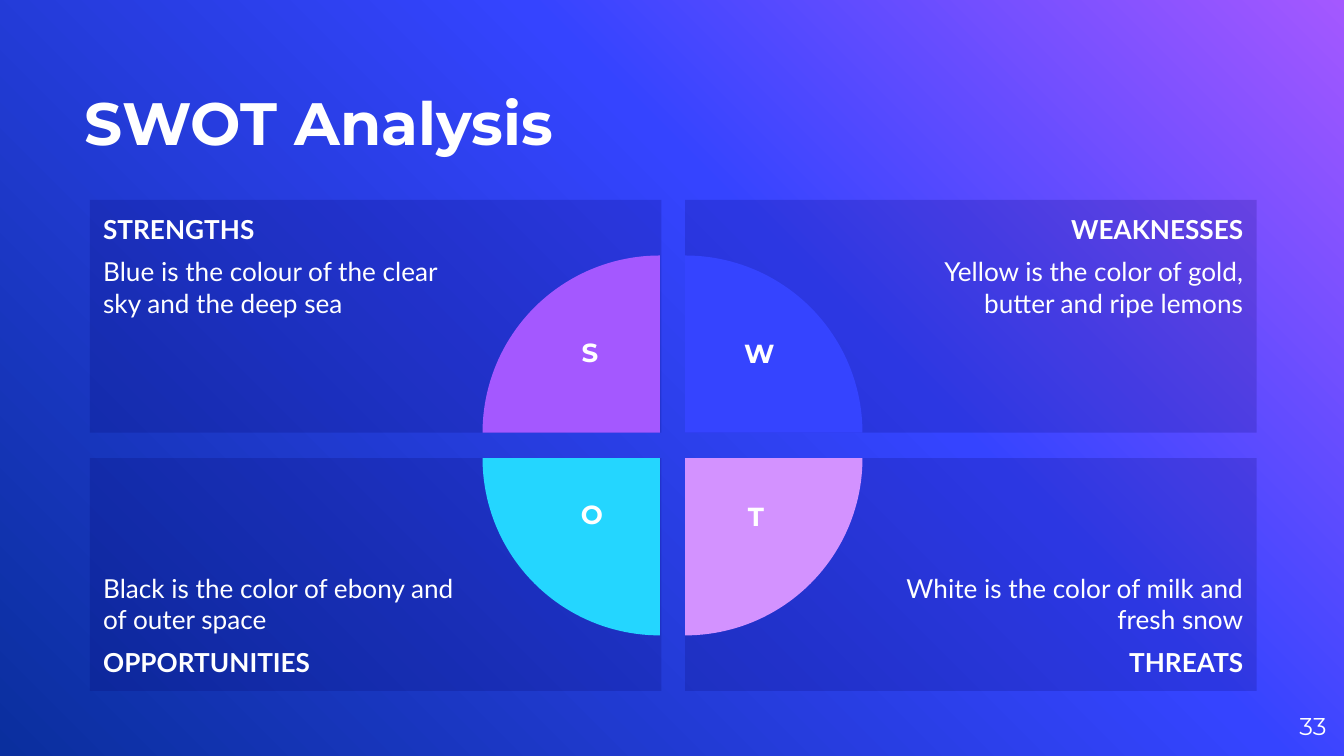
import copy
import pptx
import pptx.util
import pptx.dml.color
import pptx.enum.shapes
import pptx.enum.text
import pptx.oxml.ns
from lxml import etree

Cm, Pt = pptx.util.Cm, pptx.util.Pt
Rgb = pptx.dml.color.RGBColor.from_string
Kind = pptx.enum.shapes.MSO_SHAPE
Align = pptx.enum.text.PP_ALIGN
Anchor = pptx.enum.text.MSO_ANCHOR
qn = pptx.oxml.ns.qn

HUE = {"white": "FFFFFF", "panel": "050060", "navy": "0A2F9E",
       "blue": "3544FF", "purple": "A458FF", "pink": "D392FF", "cyan": "24D6FF"}


def write(para, text, size, font, bold=False, align=Align.LEFT):
    para.alignment = align
    run = para.add_run()
    run.text = text
    run.font.size, run.font.name, run.font.bold = Pt(size), font, bold
    run.font.color.rgb = Rgb(HUE["white"])


def frame(shape, anchor, left, top, right, bottom):
    box = shape.text_frame
    box.word_wrap = True
    box.auto_size = pptx.enum.text.MSO_AUTO_SIZE.NONE
    box.vertical_anchor = anchor
    box.margin_left, box.margin_right = Cm(left), Cm(right)
    box.margin_top, box.margin_bottom = Cm(top), Cm(bottom)
    return box


deck = pptx.Presentation()
deck.slide_width, deck.slide_height = Cm(25.4), Cm(14.29)
slide = deck.slides.add_slide(deck.slide_layouts[5])
shapes = slide.shapes

# Background: three-stop gradient from the top right corner
fill = slide.background.fill
fill.gradient()
fill.gradient_angle = 225
stops = next(slide.element.iter(qn("a:gsLst")))
stops.append(copy.deepcopy(stops[-1]))
for stop, (place, hue) in zip(fill.gradient_stops,
                              [(0, "purple"), (0.39, "blue"), (1, "navy")]):
    stop.position = place
    stop.color.rgb = Rgb(HUE[hue])

# Title
title = shapes.title
title.left, title.top, title.width, title.height = Cm(1.6), Cm(0.58), Cm(16.71), Cm(2.39)
box = frame(title, Anchor.BOTTOM, 0, 0, 0, 0)
write(box.paragraphs[0], "SWOT Analysis", 32, "Montserrat", True)

# Page number
page = shapes.add_textbox(Cm(23.55), Cm(13.18), Cm(1.52), Cm(1.09))
box = frame(page, Anchor.MIDDLE, 0, 0, 0, 0)
write(box.paragraphs[0], "33", 13, "Montserrat", align=Align.RIGHT)

# Panels: heading on the outer edge of each row
panels = [("STRENGTHS", "Blue is the colour of the clear sky and the deep sea"),
          ("WEAKNESSES", "Yellow is the color of gold, butter and ripe lemons"),
          ("OPPORTUNITIES", "Black is the color of ebony and of outer space"),
          ("THREATS", "White is the color of milk and fresh snow")]
for i, (head, body) in enumerate(panels):
    row, col = divmod(i, 2)
    panel = shapes.add_shape(Kind.RECTANGLE, Cm(1.7 + 11.25 * col),
                             Cm(3.78 + 4.88 * row), Cm(10.8), Cm(4.4))
    panel.shadow.inherit = False
    panel.line.fill.background()
    panel.fill.solid()
    panel.fill.fore_color.rgb = Rgb(HUE["panel"])
    tint = next(panel.element.spPr.iter(qn("a:srgbClr")))
    etree.SubElement(tint, qn("a:alpha"), val="18000")
    left, right = (3.81, 0.25) if col else (0.25, 3.81)
    box = frame(panel, Anchor.BOTTOM if row else Anchor.TOP, left, 0.25, right, 0.25)
    align = Align.RIGHT if col else Align.LEFT
    lines = [(head, True), (body, False)]
    if row:
        lines.reverse()
    first, last = box.paragraphs[0], box.add_paragraph()
    last.space_before = last.space_after = Pt(6)
    for para, (text, bold) in zip((first, last), lines):
        write(para, text, 14, "Lato", bold, align)

# Quarter circles, clockwise from the top left
for i, hue in enumerate(["purple", "blue", "pink", "cyan"]):
    pie = shapes.add_shape(Kind.PIE, Cm(9.6 if i in (1, 2) else 9.12),
                           Cm(5.31 if i > 1 else 4.83), Cm(6.7), Cm(6.7))
    pie.adjustments[0], pie.adjustments[1] = 108, 162
    pie.rotation = 90 * i
    pie.shadow.inherit = False
    pie.line.fill.background()
    pie.fill.solid()
    pie.fill.fore_color.rgb = Rgb(HUE[hue])

# Letters, each centred on mid
for text, mid, top, wide in [("S", 11.15, 6.22, 0.97), ("W", 14.35, 6.25, 1.73),
                             ("O", 11.19, 9.3, 1.24), ("T", 14.29, 9.32, 0.94)]:
    label = shapes.add_textbox(Cm(mid - wide / 2), Cm(top), Cm(wide), Cm(1.28))
    box = frame(label, Anchor.TOP, 0.25, 0.13, 0.25, 0.13)
    write(box.paragraphs[0], text, 14, "Montserrat", True, Align.CENTER)

deck.save("out.pptx")
